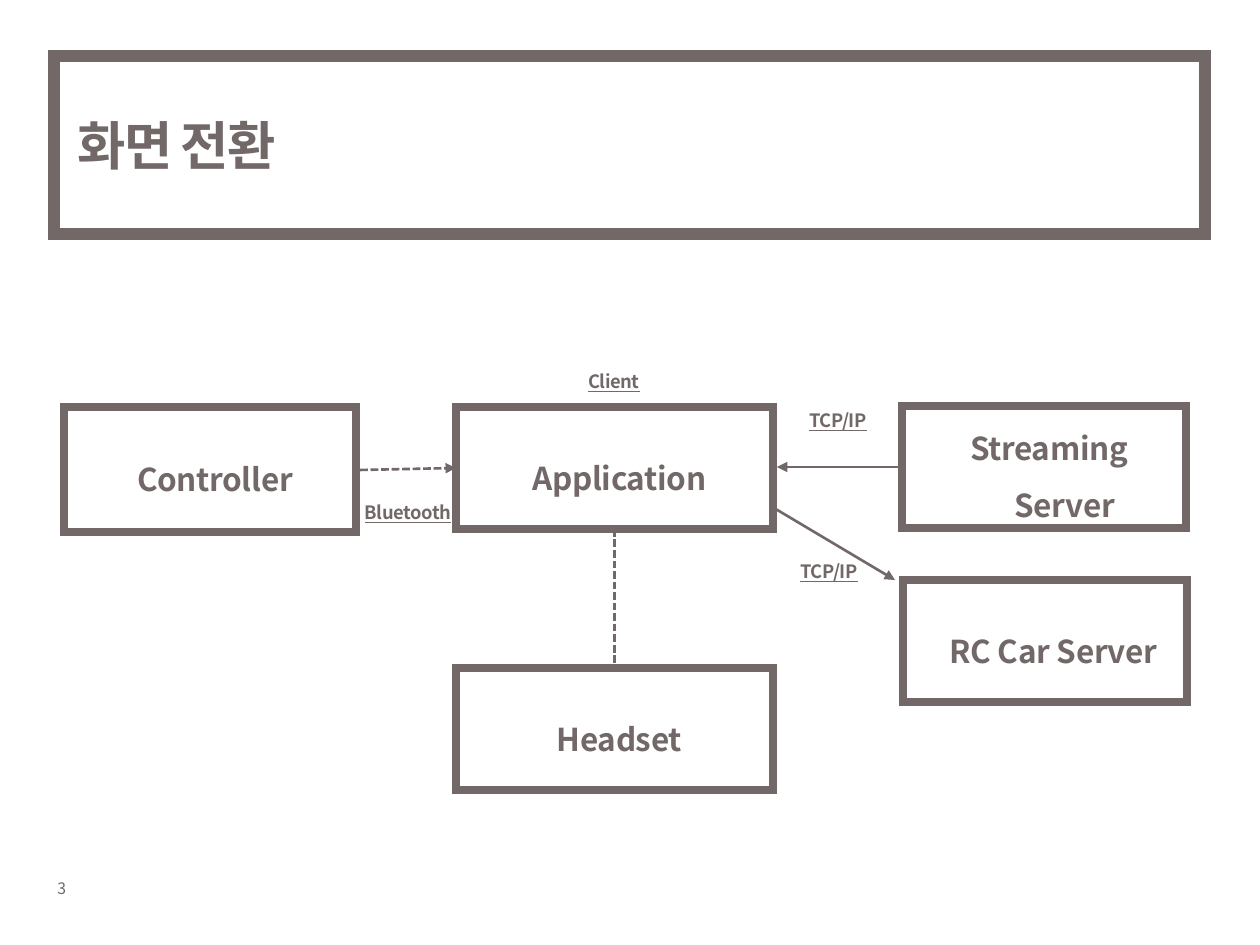
from dataclasses import dataclass

import pptx
import pptx.dml.color
import pptx.enum.dml
import pptx.enum.shapes
import pptx.enum.text
import pptx.oxml.ns
import pptx.util
from lxml import etree

PX = pptx.util.Inches(1) / 126


@dataclass(frozen=True)
class Theme:
    font: str = "Noto Sans CJK KR"
    color: str = "726868"
    title_size: float = 30
    node_size: float = 18
    label_size: float = 10.5
    number_size: float = 9
    frame_line: float = 7
    node_line: float = 4.5
    arrow_line: float = 1.5


def emu(*lengths):
    return [round(length * PX) for length in lengths]


def add_element(parent, tag, **attributes):
    return etree.SubElement(parent, pptx.oxml.ns.qn(tag), attributes)


class SlideBuilder:
    def __init__(self, slide, theme):
        self.slide = slide
        self.theme = theme
        self.color = pptx.dml.color.RGBColor.from_string(theme.color)

    def format_text(self, frame, size, bold=True, underline=None, tracking=0):
        """Style every run; tracking is in hundredths of a point."""
        for paragraph in frame.paragraphs:
            for run in paragraph.runs:
                font = run.font
                font.name = self.theme.font
                font.size = pptx.util.Pt(size)
                font.bold = bold
                font.underline = underline
                font.color.rgb = self.color
                properties = run._r.get_or_add_rPr()
                properties.set("spc", str(tracking))
                add_element(properties, "a:ea", typeface=self.theme.font)

    def center_hanging(self, paragraph):
        paragraph.alignment = pptx.enum.text.PP_ALIGN.CENTER
        paragraph.line_spacing = 1.5
        properties = paragraph._p.get_or_add_pPr()
        indent = pptx.util.Inches(0.25)
        properties.set("marL", str(indent))
        properties.set("indent", str(-indent))

    def title(self, text, *box):
        title = self.slide.shapes.title
        title.left, title.top, title.width, title.height = emu(*box)
        frame = title.text_frame
        frame.text = text
        frame.auto_size = pptx.enum.text.MSO_AUTO_SIZE.NONE
        frame.vertical_anchor = pptx.enum.text.MSO_ANCHOR.MIDDLE
        frame.paragraphs[0].alignment = pptx.enum.text.PP_ALIGN.LEFT
        self.format_text(frame, self.theme.title_size, tracking=-100)

    def frame(self, line_width, *box):
        shape = self.slide.shapes.add_shape(
            pptx.enum.shapes.MSO_SHAPE.RECTANGLE, *emu(*box))
        shape.shadow.inherit = False
        shape.fill.background()
        shape.line.color.rgb = self.color
        shape.line.width = pptx.util.Pt(line_width)
        add_element(shape.line._get_or_add_ln(), "a:miter", lim="800000")
        return shape

    def node(self, text, *box):
        shape = self.frame(self.theme.node_line, *box)
        frame = shape.text_frame
        frame.text = text
        frame.word_wrap = True
        frame.vertical_anchor = pptx.enum.text.MSO_ANCHOR.MIDDLE
        frame.margin_left, frame.margin_right = emu(23, 13)
        self.center_hanging(frame.paragraphs[0])
        self.format_text(frame, self.theme.node_size, tracking=-20)
        return shape

    def label(self, text, left, top):
        box = self.slide.shapes.add_textbox(*emu(left, top, 212, 48))
        frame = box.text_frame
        frame.text = text
        frame.word_wrap = True
        self.center_hanging(frame.paragraphs[0])
        self.format_text(frame, self.theme.label_size, underline=True, tracking=-20)

    def number(self, text, *box):
        frame = self.slide.shapes.add_textbox(*emu(*box)).text_frame
        frame.text = text
        frame.word_wrap = False
        self.format_text(frame, self.theme.number_size, bold=False)

    def link(self, start, end, dashed=False, arrow=True):
        """Join two ends, each a point in px or a (shape, side) pair."""
        connector = self.slide.shapes.add_connector(
            pptx.enum.shapes.MSO_CONNECTOR.STRAIGHT,
            *(emu(*start) if isinstance(start[0], int) else (0, 0)),
            *(emu(*end) if isinstance(end[0], int) else (0, 0)))
        if not isinstance(start[0], int):
            connector.begin_connect(*start)
        if not isinstance(end[0], int):
            connector.end_connect(*end)
        line = connector.line
        line.color.rgb = self.color
        line.width = pptx.util.Pt(self.theme.arrow_line)
        if dashed:
            line.dash_style = pptx.enum.dml.MSO_LINE.SQUARE_DOT
        if arrow:
            add_element(line._get_or_add_ln(), "a:tailEnd", type="triangle")
        add_element(connector._element.spPr, "a:effectLst")


def main():
    presentation = pptx.Presentation()
    presentation.slide_width = pptx.util.Inches(10)
    presentation.slide_height = pptx.util.Inches(7.5)
    slide = presentation.slides.add_slide(presentation.slide_layouts[5])
    theme = Theme()
    builder = SlideBuilder(slide, theme)

    builder.number("3", 45, 873, 66, 32)
    builder.title("화면 전환", 65, 65, 903, 159)
    builder.frame(theme.frame_line, 54, 56, 1151, 178)

    controller_edge, application_edge = 360, 777
    builder.node("Controller", 64, 407, 292, 125)
    application = builder.node("Application", 456, 407, 317, 122)
    streaming = builder.node("Streaming Server", 902, 406, 284, 122)
    headset = builder.node("Headset", 456, 668, 317, 122)
    builder.node(" RC Car Server", 903, 580, 284, 122)

    top, left, bottom = 0, 1, 2
    builder.link((streaming, left), (application_edge, 467))
    builder.link((controller_edge, 470), (application, left), dashed=True)
    builder.link((application, bottom), (headset, top), dashed=True, arrow=False)
    builder.link((774, 508), (895, 580))

    builder.label("Bluetooth", 302, 484)
    builder.label("TCP/IP", 732, 392)
    builder.label("Client", 508, 353)
    builder.label("TCP/IP", 723, 543)

    presentation.save("out.pptx")


if __name__ == "__main__":
    main()
